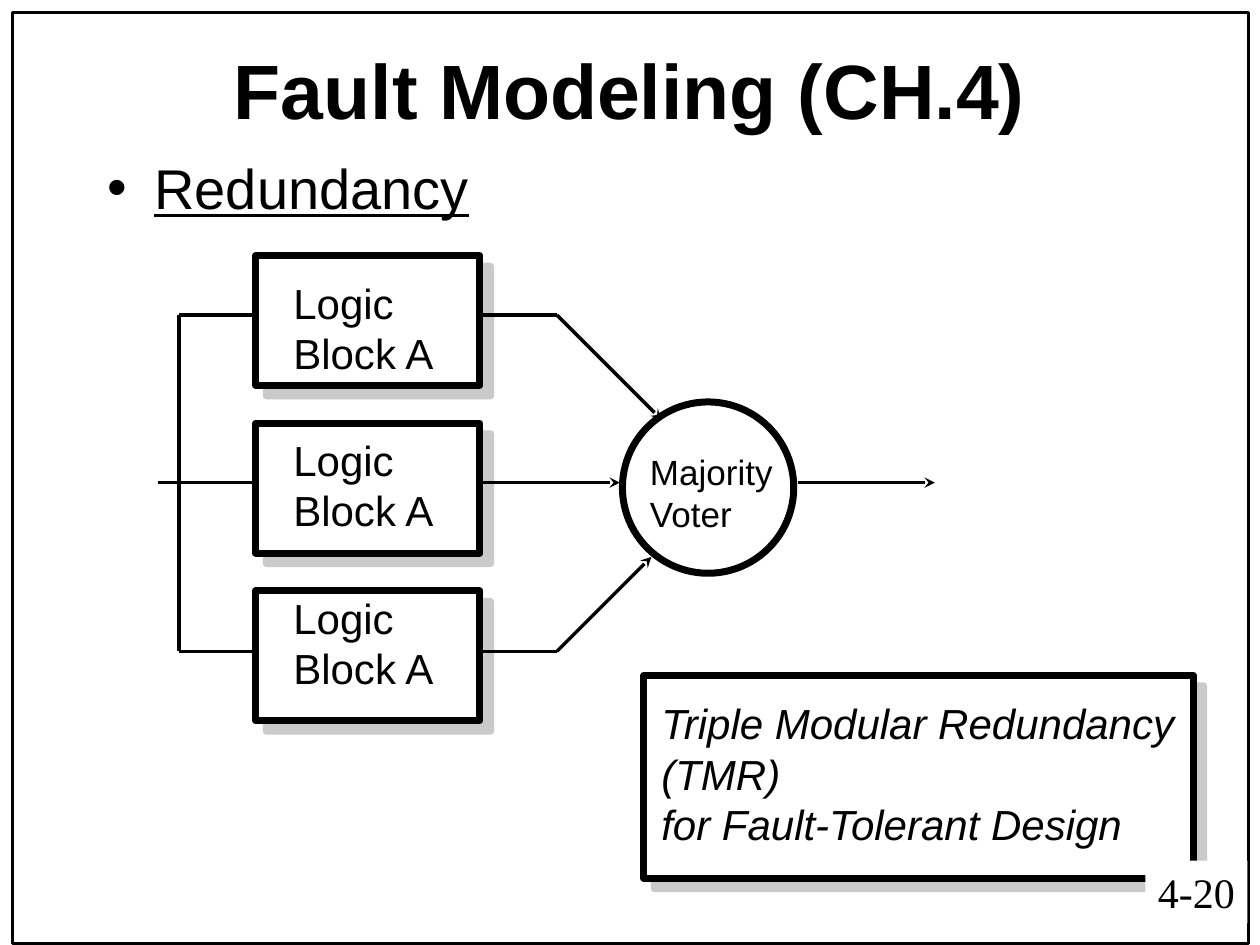
from lxml.etree import SubElement
from pptx import Presentation
from pptx.dml.color import RGBColor
from pptx.enum.shapes import MSO_CONNECTOR, MSO_SHAPE
from pptx.enum.text import MSO_ANCHOR, MSO_AUTO_SIZE, PP_ALIGN
from pptx.oxml.ns import qn
from pptx.util import Inches, Pt

COLORS = {"ink": "000000", "paper": "FFFFFF", "shadow": "969696"}

TITLE = "Fault Modeling (CH.4)"
BULLET = "Redundancy"
BLOCK_TEXT = "Logic\nBlock A"
VOTER_TEXT = "Majority\nVoter"
NOTE_TEXT = "Triple Modular Redundancy (TMR)\nfor Fault-Tolerant Design"
PAGE_NUMBER = "4-20"

BLOCK_COUNT = 3
BLOCK_TOP, BLOCK_STEP = 2.03, 1.33
LABEL_TOP, LABEL_STEP = 2.15, 1.25
UPPER, MIDDLE, LOWER = 2.5, 3.83, 5.17
BUS, BLOCK_LEFT, BLOCK_RIGHT, BEND = 1.42, 2, 3.83, 4.42

# start x, start y, end x, end y
WIRES = [
    (BUS, UPPER, BLOCK_LEFT, UPPER),
    (1.25, MIDDLE, BLOCK_LEFT, MIDDLE),
    (BUS, LOWER, BLOCK_LEFT, LOWER),
    (BUS, UPPER, BUS, LOWER),
    (BLOCK_RIGHT, UPPER, BEND, UPPER),
    (BLOCK_RIGHT, LOWER, BEND, LOWER),
]
ARROWS = [
    (BLOCK_RIGHT, MIDDLE, 4.92, MIDDLE),
    (BEND, UPPER, 5.25, 3.33),
    (BEND, LOWER, 5.17, 4.42),
    (6.33, MIDDLE, 7.42, MIDDLE),
]


def color(name):
    """Return a palette colour."""
    return RGBColor.from_string(COLORS[name])


def place(shape, left, top, width, height):
    """Move and size a shape in inches."""
    shape.left, shape.top = Inches(left), Inches(top)
    shape.width, shape.height = Inches(width), Inches(height)


def write(shape, text, size, font="Arial", **styles):
    """Fill a shape with text and format every run."""
    shape.text_frame.text = text
    for paragraph in shape.text_frame.paragraphs:
        for run in paragraph.runs:
            run.font.name, run.font.size = font, Pt(size)
            run.font.color.rgb = color("ink")
            for style, value in styles.items():
                setattr(run.font, style, value)


def add_outline(slide, kind, box, weight=4, filled=True, shadow=False):
    """Add a black-outlined shape, optionally with an offset shadow."""
    shape = slide.shapes.add_shape(kind, *map(Inches, box))
    shape.shadow.inherit = False
    if filled:
        shape.fill.solid()
        shape.fill.fore_color.rgb = color("paper")
    else:
        shape.fill.background()
    shape.line.color.rgb = color("ink")
    shape.line.width = Pt(weight)
    if shadow:
        effects = shape._element.spPr.find(qn("a:effectLst"))
        outer = SubElement(effects, qn("a:outerShdw"), dist=str(Pt(8.5)),
                           dir="2700000", algn="ctr", rotWithShape="0")
        tint = SubElement(outer, qn("a:srgbClr"), val=COLORS["shadow"])
        SubElement(tint, qn("a:alpha"), val="50000")
    return shape


def add_label(slide, box, text, size, wrap=False, **styles):
    """Add a text box."""
    label = slide.shapes.add_textbox(*map(Inches, box))
    label.text_frame.word_wrap = wrap
    write(label, text, size, **styles)
    return label


def add_wire(slide, ends, arrow=False):
    """Add a straight line, optionally with a stealth arrowhead at its end."""
    wire = slide.shapes.add_connector(MSO_CONNECTOR.STRAIGHT, *map(Inches, ends))
    wire.line.color.rgb = color("ink")
    wire.line.width = Pt(2)
    if arrow:
        SubElement(wire.line._get_or_add_ln(), qn("a:tailEnd"), type="stealth")
    SubElement(wire._element.spPr, qn("a:effectLst"))


presentation = Presentation()
presentation.slide_width, presentation.slide_height = Inches(10), Inches(7.5)
slide = presentation.slides.add_slide(presentation.slide_layouts[1])

title, body = slide.placeholders
place(title, 0.75, 0.33, 8.5, 0.75)
write(title, TITLE, 44, bold=True)
title.text_frame.vertical_anchor = MSO_ANCHOR.MIDDLE
title.text_frame.paragraphs[0].alignment = PP_ALIGN.CENTER
place(body, 0.75, 1.17, 8.5, 0.75)
write(body, BULLET, 32, underline=True)
body.text_frame.paragraphs[0].space_before = Pt(8)
for placeholder in (title, body):
    placeholder.text_frame.auto_size = MSO_AUTO_SIZE.NONE

add_outline(slide, MSO_SHAPE.RECTANGLE, (0.1, 0.1, 9.81, 7.39), weight=2, filled=False)
add_outline(slide, MSO_SHAPE.RECTANGLE, (5.11, 5.36, 4.36, 1.61), shadow=True)
add_label(slide, (5.15, 5.49, 4.35, 1.3), NOTE_TEXT, 24, wrap=True, italic=True)

for index in range(BLOCK_COUNT):
    add_outline(slide, MSO_SHAPE.RECTANGLE,
                (2.03, BLOCK_TOP + index * BLOCK_STEP, 1.78, 1.03), shadow=True)
    add_label(slide, (2.23, LABEL_TOP + index * LABEL_STEP, 1.33, 0.9), BLOCK_TEXT, 24)

for ends in WIRES:
    add_wire(slide, ends)
add_outline(slide, MSO_SHAPE.OVAL, (4.94, 3.19, 1.36, 1.36))
add_label(slide, (5.06, 3.53, 1.18, 0.77), VOTER_TEXT, 20)
for ends in ARROWS:
    add_wire(slide, ends, arrow=True)

page_label = add_label(slide, (9.09, 6.83, 0.81, 0.5), PAGE_NUMBER, 24,
                       font="Times New Roman")
page_label.fill.solid()
page_label.fill.fore_color.rgb = color("paper")

presentation.save("out.pptx")
